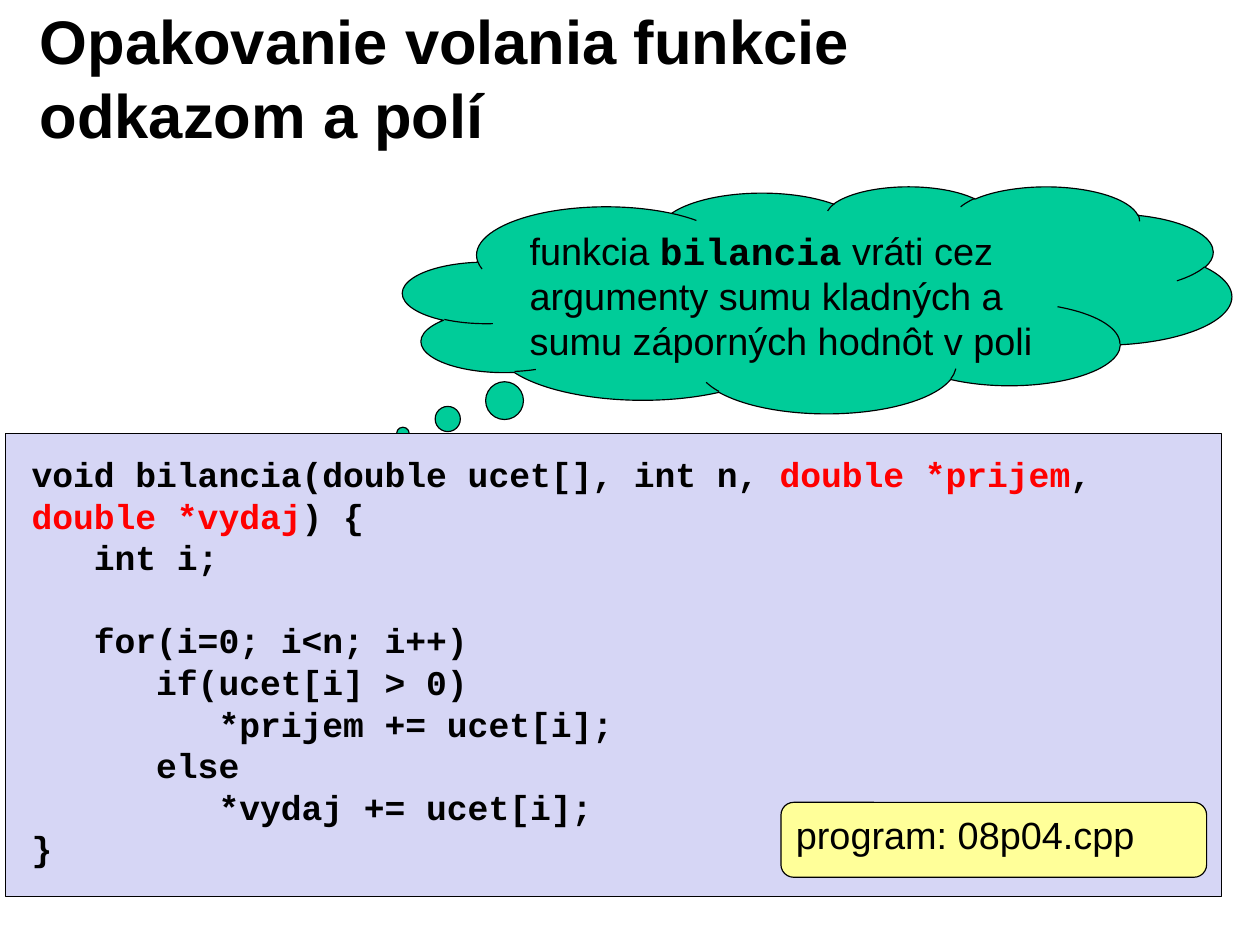
"""Build the slide on passing results back through pointer arguments."""
from pptx import Presentation
from pptx.dml.color import RGBColor
from pptx.enum.shapes import MSO_SHAPE
from pptx.enum.text import MSO_ANCHOR, MSO_AUTO_SIZE, PP_ALIGN
from pptx.util import Inches, Pt

CLOUD, RECTANGLE, ROUNDED = MSO_SHAPE.CLOUD_CALLOUT, MSO_SHAPE.RECTANGLE, MSO_SHAPE.ROUNDED_RECTANGLE
TOP, MIDDLE = MSO_ANCHOR.TOP, MSO_ANCHOR.MIDDLE
LEFT, NO_FIT = PP_ALIGN.LEFT, MSO_AUTO_SIZE.NONE

THEME = {
    "cloud": "00CC99", "panel": "D6D6F5", "label": "FFFF99", "line": "000000",
    "line_width": 0.75, "leading": 1.2,
    "styles": {
        "title": {"name": "Arial", "size": 39, "bold": True, "color": "000000"},
        "body": {"name": "Arial", "size": 24, "bold": False, "color": "000000"},
        "keyword": {"name": "Courier New", "size": 24, "bold": True, "color": "000000"},
        "code": {"name": "Courier New", "size": 22, "bold": True, "color": "000000"},
        "output": {"name": "Courier New", "size": 22, "bold": True, "color": "FF0000"},
    },
}

TITLE = [[("Opakovanie volania funkcie odkazom a polí", "title")]]
THOUGHT = [[
    ("funkcia ", "body"),
    ("bilancia", "keyword"),
    (" vráti cez argumenty sumu kladných a sumu záporných hodnôt v poli", "body"),
]]
SIGNATURE = [
    ("void bilancia(double ucet[], int n, ", "code"),
    ("double *prijem", "output"),
    (", ", "code"),
    ("double *vydaj", "output"),
    (") {", "code"),
]
DECLARATION = "   int i;"
LOOP = [
    "   for(i=0; i<n; i++)",
    "      if(ucet[i] > 0)",
    "         *prijem += ucet[i];",
    "      else",
    "         *vydaj += ucet[i];",
    "}",
]
CODE = [SIGNATURE] + [[(line, "code")] for line in [DECLARATION, *LOOP]]
LOOP_START = 2
PROGRAM = [[("program: 08p04.cpp", "body")]]

PLACES = {
    "title": (0.25, 0.17, 9.13, 1.02),
    "cloud": (3.55, 1.64, 7.3, 2),
    "panel": (0.05, 3.82, 10.71, 4.08),
    "code": (0.18, 3.92, 10.58, 3.8),
    "label": (6.88, 7.07, 3.75, 0.66),
}


def place(name):
    """Return the left, top, width and height of a named part."""
    return [Inches(length) for length in PLACES[name]]


def write(box, paragraphs, anchor=TOP, insets=(0.1, 0.05), gap_before=None):
    """Fill a box with styled spans, with a blank line's gap before one paragraph."""
    frame = box.text_frame
    side, edge = (Inches(inset) for inset in insets)
    settings = {
        "word_wrap": True, "auto_size": NO_FIT, "vertical_anchor": anchor,
        "margin_left": side, "margin_right": side, "margin_top": edge, "margin_bottom": edge,
    }
    for key, value in settings.items():
        setattr(frame, key, value)
    for index, spans in enumerate(paragraphs):
        para = frame.paragraphs[0] if index == 0 else frame.add_paragraph()
        pitch = Pt(THEME["styles"][spans[0][1]]["size"] * THEME["leading"])
        spacing = {
            "alignment": LEFT, "line_spacing": pitch, "space_after": Pt(0),
            "space_before": pitch if index == gap_before else Pt(0),
        }
        for key, value in spacing.items():
            setattr(para, key, value)
        for text, style in spans:
            span = para.add_run()
            span.text = text
            look = THEME["styles"][style]
            for key in ("name", "bold"):
                setattr(span.font, key, look[key])
            span.font.size = Pt(look["size"])
            span.font.color.rgb = RGBColor.from_string(look["color"])


def add_panel(slide, name, kind, adjustments=()):
    """Add a filled and outlined shape in its place."""
    shape = slide.shapes.add_shape(kind, *place(name))
    shape.shadow.inherit = False
    shape.fill.solid()
    shape.fill.fore_color.rgb = RGBColor.from_string(THEME[name])
    shape.line.color.rgb = RGBColor.from_string(THEME["line"])
    shape.line.width = Pt(THEME["line_width"])
    for index, value in enumerate(adjustments):
        shape.adjustments[index] = value
    return shape


def main():
    """Compose the slide and save the deck."""
    deck = Presentation()
    deck.slide_width, deck.slide_height = Inches(11.1), Inches(8.3)
    slide = deck.slides.add_slide(deck.slide_layouts[5])

    title = slide.shapes.title
    title.left, title.top, title.width, title.height = place("title")
    write(title, TITLE, anchor=MIDDLE)

    cloud = add_panel(slide, "cloud", CLOUD, (-0.5, 0.59))
    write(cloud, THOUGHT, insets=(0.11, 0.06))

    add_panel(slide, "panel", RECTANGLE)
    code = slide.shapes.add_textbox(*place("code"))
    write(code, CODE, insets=(0.1, 0.07), gap_before=LOOP_START)

    label = add_panel(slide, "label", ROUNDED, (0.17,))
    write(label, PROGRAM)

    deck.save("out.pptx")


if __name__ == "__main__":
    main()
